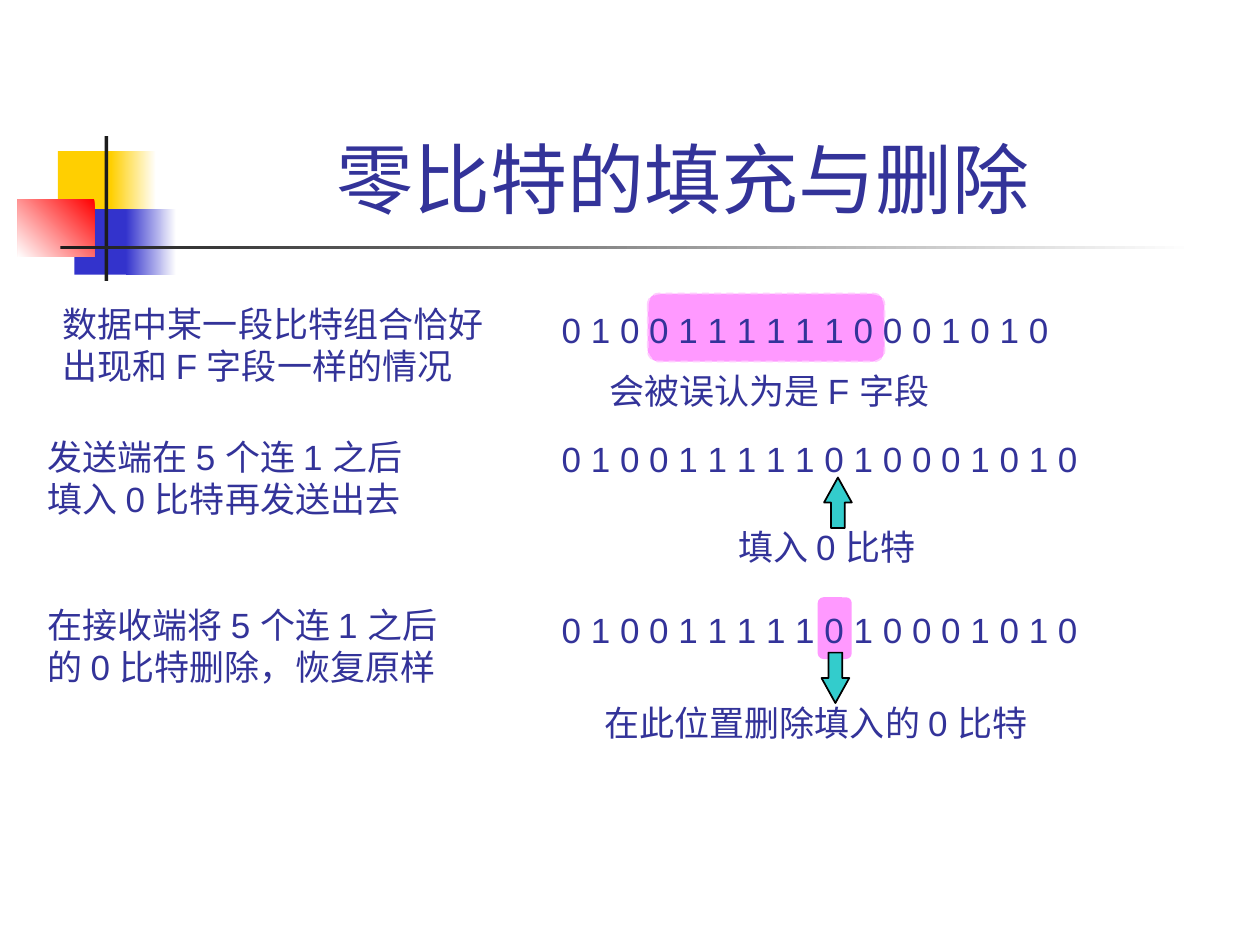
from pptx import Presentation
from pptx.dml.color import RGBColor
from pptx.enum.dml import MSO_LINE
from pptx.enum.shapes import MSO_SHAPE
from pptx.enum.text import MSO_ANCHOR, PP_ALIGN
from pptx.util import Inches, Pt

RECTANGLE = MSO_SHAPE.RECTANGLE
ROUNDED = MSO_SHAPE.ROUNDED_RECTANGLE
UP_ARROW = MSO_SHAPE.UP_ARROW
DOWN_ARROW = MSO_SHAPE.DOWN_ARROW
DASH = MSO_LINE.DASH
TOP, BOTTOM = MSO_ANCHOR.TOP, MSO_ANCHOR.BOTTOM
LEFT, CENTER = PP_ALIGN.LEFT, PP_ALIGN.CENTER

WHITE = RGBColor(0xFF, 0xFF, 0xFF)
BLACK = RGBColor(0x00, 0x00, 0x00)
INK = RGBColor(0x33, 0x33, 0x99)
YELLOW = RGBColor(0xFF, 0xCF, 0x01)
BLUE = RGBColor(0x33, 0x33, 0xCC)
RED = RGBColor(0xFF, 0x00, 0x00)
CHARCOAL = RGBColor(0x1C, 0x1C, 0x1C)
PINK = RGBColor(0xFF, 0x99, 0xFF)
PALE_PINK = RGBColor(0xFF, 0xCC, 0xFF)
TEAL = RGBColor(0x33, 0xCC, 0xCC)

FONT = "Arial"
STUFFED_BITS = "0 1 0 0 1 1 1 1 1 0 1 0 0 0 1 0 1 0"


def add_block(slide, kind, left, top, width, height, color, fade_angle=None):
    block = slide.shapes.add_shape(
        kind, Inches(left), Inches(top), Inches(width), Inches(height))
    block.shadow.inherit = False
    block.line.fill.background()
    if fade_angle is None:
        block.fill.solid()
        block.fill.fore_color.rgb = color
    else:
        block.fill.gradient()
        block.fill.gradient_angle = fade_angle
        for stop, stop_color in zip(block.fill.gradient_stops, (color, WHITE)):
            stop.color.rgb = stop_color
    return block


def add_text(slide, left, top, width, height, lines, size=20,
             align=LEFT, anchor=TOP, wrap=False):
    box = slide.shapes.add_textbox(
        Inches(left), Inches(top), Inches(width), Inches(height))
    frame = box.text_frame
    frame.word_wrap = wrap
    frame.vertical_anchor = anchor
    for index, line in enumerate(lines):
        paragraph = frame.add_paragraph() if index else frame.paragraphs[0]
        paragraph.alignment = align
        run = paragraph.add_run()
        run.text = line
        run.font.name = FONT
        run.font.size = Pt(size)
        run.font.color.rgb = INK


def add_highlight(slide, left, top, width, height):
    highlight = add_block(slide, ROUNDED, left, top, width, height, PINK)
    highlight.adjustments[0] = 0.167
    return highlight


def add_arrow(slide, kind, left, top):
    arrow = add_block(slide, kind, left, top, 0.22, 0.4, TEAL)
    arrow.adjustments[0] = 0.5
    arrow.adjustments[1] = 0.9
    arrow.line.color.rgb = BLACK
    arrow.line.width = Pt(1)


def add_ornament(slide, left, top):
    for dx, dy, width, height, color, fade_angle in (
        (0.32, 0.12, 0.48, 0.52, YELLOW, None),
        (0.74, 0.12, 0.36, 0.52, YELLOW, 0),
        (0.45, 0.58, 0.46, 0.52, BLUE, None),
        (0.86, 0.58, 0.4, 0.52, BLUE, 0),
        (0, 0.5, 0.61, 0.46, RED, 225),
        (0.69, 0, 0.03, 1.15, CHARCOAL, None),
        (0.34, 0.87, 9, 0.03, CHARCOAL, 0),
    ):
        add_block(slide, RECTANGLE, left + dx, top + dy, width, height,
                  color, fade_angle)


def add_title(slide, left, top, width, height):
    add_text(slide, left, top, width, height, ["零比特的填充与删除 "],
             size=44, align=CENTER, anchor=BOTTOM, wrap=True)


def add_original_data(slide, left, top):
    highlight = add_highlight(slide, left + 4.74, top - 0.02, 1.88, 0.54)
    highlight.line.color.rgb = PALE_PINK
    highlight.line.width = Pt(1)
    highlight.line.dash_style = DASH
    add_text(slide, left, top, 3.54, 0.76,
             ["数据中某一段比特组合恰好", "出现和 F 字段一样的情况"])
    add_text(slide, left + 3.96, top + 0.05, 4.07, 0.43,
             ["0 1 0 0 1 1 1 1 1 1 0 0 0 1 0 1 0"])
    add_text(slide, left + 4.34, top + 0.53, 2.87, 0.43, ["会被误认为是 F 字段"])


def add_sender_step(slide, left, top):
    add_text(slide, left, top, 3.28, 0.76,
             ["发送端在 5 个连 1 之后", "填入 0 比特再发送出去"])
    add_arrow(slide, UP_ARROW, left + 6.26, top + 0.38)
    add_text(slide, left + 5.48, top + 0.71, 1.74, 0.43, ["填入 0 比特"])
    add_text(slide, left + 4.08, top + 0.01, 4.3, 0.43, [STUFFED_BITS])


def add_receiver_step(slide, left, top):
    add_highlight(slide, left + 6.21, top, 0.27, 0.49)
    add_text(slide, left, top, 3.56, 0.76,
             ["在接收端将 5 个连 1 之后", "的 0 比特删除，恢复原样"])
    add_arrow(slide, DOWN_ARROW, left + 6.24, top + 0.44)
    add_text(slide, left + 4.42, top + 0.78, 3.69, 0.43,
             ["在此位置删除填入的 0 比特"])
    add_text(slide, left + 4.08, top + 0.04, 4.3, 0.43, [STUFFED_BITS])


def main():
    presentation = Presentation()
    presentation.slide_width = Inches(10)
    presentation.slide_height = Inches(7.5)
    slide = presentation.slides.add_slide(presentation.slide_layouts[6])
    add_ornament(slide, 0.14, 1.08)
    add_title(slide, 0.98, 0.23, 9.02, 1.6)
    add_original_data(slide, 0.4, 2.35)
    add_sender_step(slide, 0.28, 3.41)
    add_receiver_step(slide, 0.28, 4.74)
    presentation.save("out.pptx")


if __name__ == "__main__":
    main()
